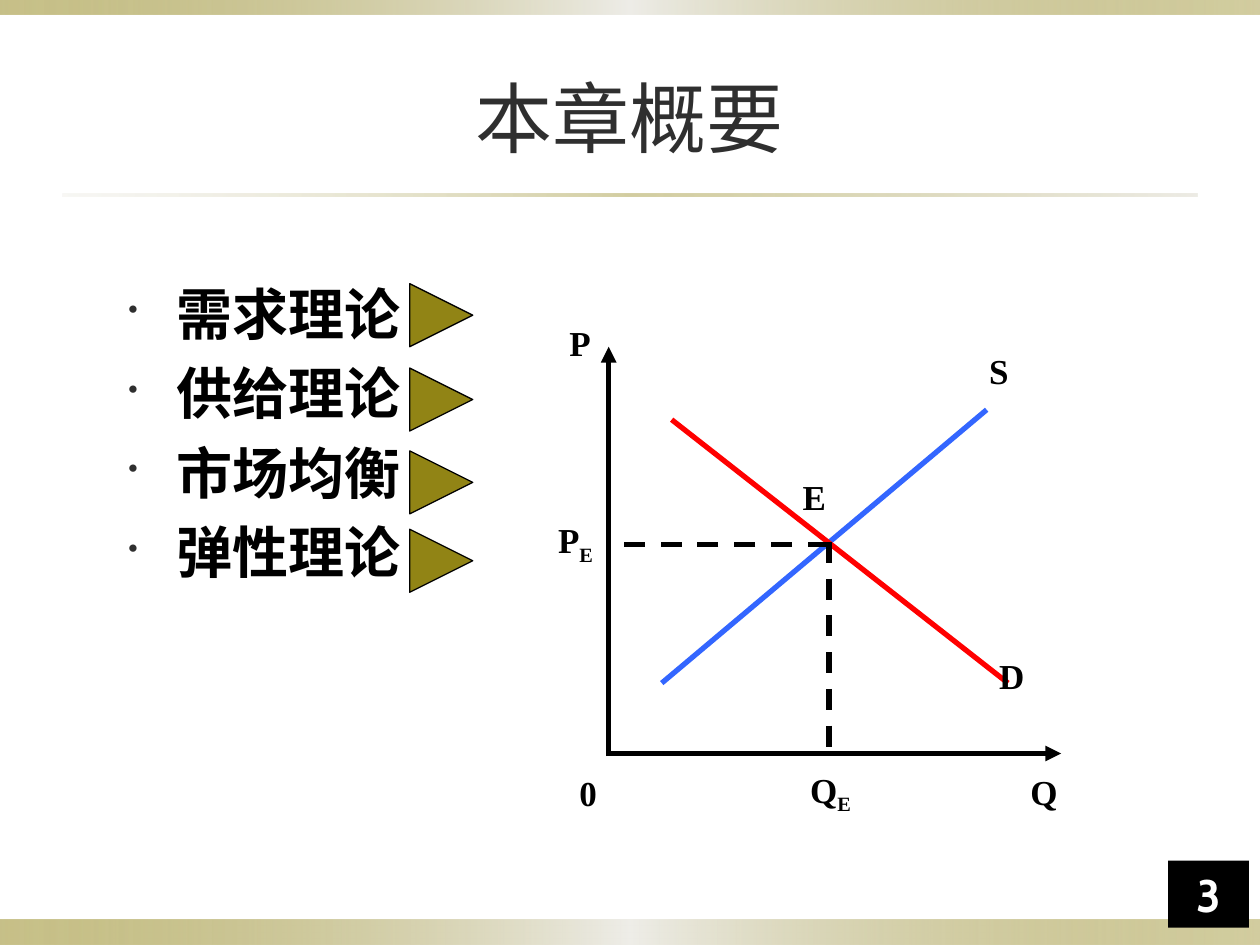
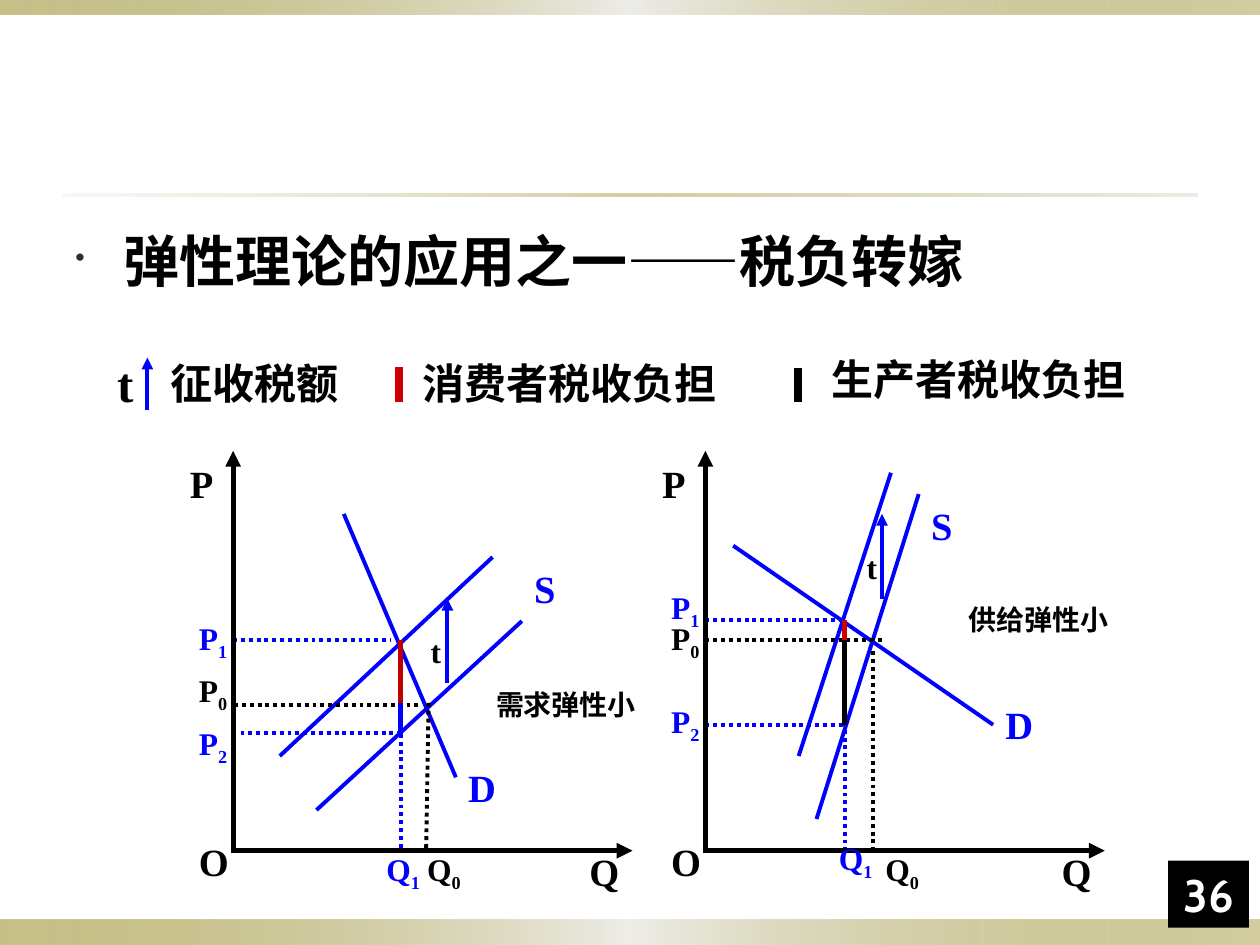
from dataclasses import dataclass

from lxml import etree
from pptx import Presentation
from pptx import util as u
from pptx.dml.color import RGBColor
from pptx.enum import dml, shapes, text
from pptx.oxml.ns import qn


@dataclass(frozen=True)
class Theme:
    black: str = "000000"
    white: str = "FFFFFF"
    title: str = "2F2F2F"
    olive: str = "918415"
    silver: str = "EEEDE8"
    sand: str = "DCD9CC"
    blue: str = "0000FF"
    supply: str = "3366FF"
    demand: str = "FF0000"
    tax_red: str = "CC0000"
    deep_red: str = "C00000"
    serif: str = "Times New Roman"
    sans: str = "Cabin"
    legend_font: str = "Arial"
    title_size: float = 44
    body_size: float = 32
    number_size: float = 26
    tax_size: float = 28
    legend_size: float = 24
    curve_size: float = 22
    label_size: float = 20
    tick_size: float = 18
    note_size: float = 16
    heavy: float = 3
    medium: float = 2.25
    thick: float = 4.5


T = Theme()
DOT = dml.MSO_LINE.ROUND_DOT
DASH = dml.MSO_LINE.DASH
MIDDLE = text.MSO_ANCHOR.MIDDLE
BAND_STOPS = [(0, T.olive, 50), (50, T.silver, 100), (100, T.olive, 40)]
RULE_STOPS = [(0, T.sand, 20), (50, T.olive, 40), (100, T.sand, 50)]


def cm(*lengths):
    return [u.Cm(length) for length in lengths]


def rgb(color):
    return RGBColor.from_string(color)


def add_run(p, content, size, color=T.black, font=T.serif, bold=True):
    r = p.add_run()
    r.text = content
    r.font.size, r.font.name, r.font.bold = u.Pt(size), font, bold
    r.font.color.rgb = rgb(color)
    return r


def add_box(parent, box, anchor=text.MSO_ANCHOR.TOP, wrap=True):
    tf = parent.shapes.add_textbox(*cm(*box)).text_frame
    tf.auto_size = text.MSO_AUTO_SIZE.NONE
    tf.word_wrap = wrap
    tf.vertical_anchor = anchor
    return tf


def add_label(parent, content, x, y, size, color=T.black, w=0.74, h=0.84, font=T.serif):
    p = add_box(parent, (x, y, w, h), MIDDLE, wrap=False).paragraphs[0]
    base, _, index = content.partition("_")
    add_run(p, base, size, color, font)
    if index:
        r = add_run(p, index, size, color, font)
        r._r.get_or_add_rPr().set("baseline", "-25000")


def add_line(parent, ends, color=T.black, width=T.medium, dash=None, arrow=False):
    c = parent.shapes.add_connector(shapes.MSO_CONNECTOR.STRAIGHT, *cm(*ends))
    c.line.color.rgb = rgb(color)
    c.line.width = u.Pt(width)
    if dash:
        c.line.dash_style = dash
    if arrow:
        etree.SubElement(c.line._get_or_add_ln(), qn("a:tailEnd"), type="triangle")
    etree.SubElement(c._element.spPr, qn("a:effectLst"))


def add_shape(s, kind, box):
    sp = s.shapes.add_shape(kind, *cm(*box))
    sp.shadow.inherit = False
    sp.line.fill.background()
    return sp


def add_gradient(s, box, stops):
    sp = add_shape(s, shapes.MSO_SHAPE.RECTANGLE, box)
    sp.fill.gradient()
    sp.fill.gradient_angle = 0
    gs_list = sp._element.spPr.find(qn("a:gradFill")).find(qn("a:gsLst"))
    for gs in list(gs_list):
        gs_list.remove(gs)
    for position, color, alpha in stops:
        gs = etree.SubElement(gs_list, qn("a:gs"), pos=str(position * 1000))
        clr = etree.SubElement(gs, qn("a:srgbClr"), val=color)
        etree.SubElement(clr, qn("a:alpha"), val=str(alpha * 1000))


def add_slide(prs, number):
    s = prs.slides.add_slide(prs.slide_layouts[6])
    add_gradient(s, (0, 18.54, 25.4, 0.51), BAND_STOPS)
    add_gradient(s, (0, 0, 25.4, 0.3), BAND_STOPS)
    add_gradient(s, (1.27, 3.91, 22.86, 0.05), RULE_STOPS)
    sp = add_shape(s, shapes.MSO_SHAPE.RECTANGLE, (23.55, 17.35, 1.63, 1.35))
    sp.fill.solid()
    sp.fill.fore_color.rgb = rgb(T.black)
    tf = sp.text_frame
    tf.vertical_anchor = text.MSO_ANCHOR.BOTTOM
    p = tf.paragraphs[0]
    p.alignment = text.PP_ALIGN.CENTER
    add_run(p, str(number), T.number_size, T.white, T.sans)
    return s


def add_title(s, content):
    p = add_box(s, (1.27, 0.76, 22.86, 3.18), MIDDLE).paragraphs[0]
    p.alignment = text.PP_ALIGN.CENTER
    add_run(p, content, T.title_size, T.title, bold=False)


def add_bullets(s, items, box, font):
    tf = add_box(s, box)
    for i, item in enumerate(items):
        p = tf.add_paragraph() if i else tf.paragraphs[0]
        pPr = p._p.get_or_add_pPr()
        pPr.set("marL", str(u.Cm(0.97)))
        pPr.set("indent", str(u.Cm(-0.97)))
        clr = etree.SubElement(pPr, qn("a:buClr"))
        etree.SubElement(clr, qn("a:srgbClr"), val=T.title)
        etree.SubElement(pPr, qn("a:buSzPct"), val="50000")
        etree.SubElement(pPr, qn("a:buChar"), char="•")
        if i:
            p.space_before = u.Pt(7)
        add_run(p, item, T.body_size, font=font)


def add_marker(s, y):
    sp = add_shape(s, shapes.MSO_SHAPE.ISOSCELES_TRIANGLE, (8.26, y, 1.27, 1.27))
    sp.rotation = 90
    sp.fill.solid()
    sp.fill.fore_color.rgb = rgb(T.olive)
    sp.line.color.rgb = rgb(T.black)
    sp.line.width = u.Pt(0.75)


def draw_equilibrium(s):
    g = s.shapes.add_group_shape()
    for axis in ((12.27, 15.19, 21.39, 15.19), (12.27, 15.24, 12.27, 6.99)):
        add_line(g, axis, width=T.heavy, arrow=True)
    add_line(g, (13.34, 13.77, 19.89, 8.26), T.supply, T.heavy)
    add_line(g, (13.54, 8.46, 20.32, 13.77), T.demand, T.heavy)
    for guide in ((16.71, 10.97, 12.27, 10.97), (16.71, 10.92, 16.71, 15.14)):
        add_line(g, guide, width=T.heavy, dash=DASH)
    for content, x, y in (
        ("P", 11.23, 6.35), ("Q", 20.52, 15.42), ("0", 11.43, 15.44),
        ("S", 19.69, 6.93), ("D", 19.89, 13.08), ("E", 15.93, 9.47),
        ("P_E", 11.0, 10.39), ("Q_E", 16.08, 15.42),
    ):
        add_label(g, content, x, y, T.label_size, w=1.47, h=1.09)


def draw_legend(s):
    g = s.shapes.add_group_shape()
    add_line(g, (8.05, 7.39, 8.05, 8.1), T.tax_red, T.thick)
    add_line(g, (16.08, 7.42, 16.08, 8.1), T.black, T.thick)
    add_line(g, (2.97, 8.26, 2.97, 7.21), T.blue, arrow=True)
    add_label(g, "t", 2.11, 7.19, T.tax_size, w=0.66, h=1.07)
    add_label(g, "征收税额", 3.18, 6.99, T.legend_size, w=4.45, h=1.47, font=T.legend_font)
    add_label(g, "消费者税收负担", 8.26, 7.19, T.legend_size, w=6.78, h=1.07)
    add_label(g, "生产者税收负担", 16.51, 6.99, T.legend_size, w=6.55, h=1.27)


def draw_tax_market(s, origin, curves, guides, burdens, tax, ticks, names, note):
    g = s.shapes.add_group_shape()
    base = 17.15
    for curve in curves:
        add_line(g, curve, T.blue)
    for color, ends in guides:
        add_line(g, ends, color, dash=DOT)
    for color, x, top, bottom in burdens:
        add_line(g, (x, top, x, bottom), color, T.heavy)
    tax_x, tax_bottom, tax_top = tax
    add_line(g, (tax_x, tax_bottom, tax_x, tax_top), T.blue, arrow=True)
    add_line(g, (origin, base, origin + 8.05, base), width=T.heavy, arrow=True)
    add_line(g, (origin, 17.2, origin, 9.09), width=T.heavy, arrow=True)
    for content, dx, y in (("P", -1.12, 9.32), ("O", -0.94, 16.94), ("Q", 6.93, base)):
        add_label(g, content, origin + dx, y, T.curve_size)
    for content, x, y in names:
        add_label(g, content, x, y, T.curve_size, T.blue)
    for content, x, y in ticks:
        color = T.black if content in ("P_0", "Q_0", "t") else T.blue
        add_label(g, content, x, y, T.tick_size, color)
    add_label(g, *note, T.note_size, w=2.62)


def build_overview(prs):
    s = add_slide(prs, 3)
    add_title(s, "本章概要")
    topics = ["需求理论", "供给理论", "市场均衡", "弹性理论"]
    add_bullets(s, topics, (2.34, 5.51, 21.36, 12.9), T.sans)
    draw_equilibrium(s)
    for y in (5.72, 7.42, 9.09, 10.67):
        add_marker(s, y)


def build_tax_shifting(prs):
    s = add_slide(prs, 36)
    add_bullets(s, ["弹性理论的应用之一——税负转嫁"], (1.27, 4.45, 22.86, 13.03), T.serif)
    draw_legend(s)
    draw_tax_market(
        s, 14.22,
        curves=[(16.1, 15.24, 17.96, 9.53), (16.46, 16.51, 18.52, 9.96),
                (14.78, 11.0, 20.02, 14.61)],
        guides=[(T.blue, (14.22, 12.5, 17.04, 12.5)),
                (T.black, (14.22, 12.9, 17.78, 12.9)),
                (T.blue, (14.22, 14.61, 17.02, 14.61)),
                (T.blue, (17.04, 12.5, 17.04, 17.15)),
                (T.black, (17.6, 13.13, 17.6, 17.15))],
        burdens=[(T.black, 17.02, 12.9, 14.61), (T.tax_red, 17.02, 12.5, 12.9)],
        tax=(17.78, 12.07, 10.36),
        ticks=[("P_1", 13.28, 11.86), ("P_0", 13.28, 12.5), ("P_2", 13.28, 14.17),
               ("Q_1", 16.66, 16.92), ("Q_0", 17.6, 17.15), ("t", 17.22, 11.0)],
        names=[("S", 18.52, 10.16), ("D", 20.02, 14.17)],
        note=("供给弹性小", 19.28, 12.07),
    )
    draw_tax_market(
        s, 4.7,
        curves=[(5.64, 15.24, 9.93, 11.23), (6.38, 16.33, 10.52, 12.52),
                (6.93, 10.36, 9.19, 15.67)],
        guides=[(T.blue, (4.7, 12.9, 7.87, 12.9)),
                (T.black, (4.72, 14.22, 8.48, 14.22)),
                (T.blue, (4.85, 14.78, 8.05, 14.78)),
                (T.blue, (8.08, 12.9, 8.08, 17.15)),
                (T.black, (8.64, 14.17, 8.59, 17.15))],
        burdens=[(T.deep_red, 8.08, 12.9, 14.17), (T.blue, 8.08, 14.17, 14.81)],
        tax=(9.02, 13.77, 12.07),
        ticks=[("P_1", 3.76, 12.5), ("P_0", 3.76, 13.54), ("P_2", 3.76, 14.61),
               ("Q_1", 7.54, 17.15), ("Q_0", 8.36, 17.15), ("t", 8.43, 12.7)],
        names=[("S", 10.52, 11.43), ("D", 9.19, 15.44)],
        note=("需求弹性小", 9.75, 13.77),
    )


def main():
    prs = Presentation()
    prs.slide_width, prs.slide_height = cm(25.4, 19.05)
    build_overview(prs)
    build_tax_shifting(prs)
    prs.save("out.pptx")


if __name__ == "__main__":
    main()
